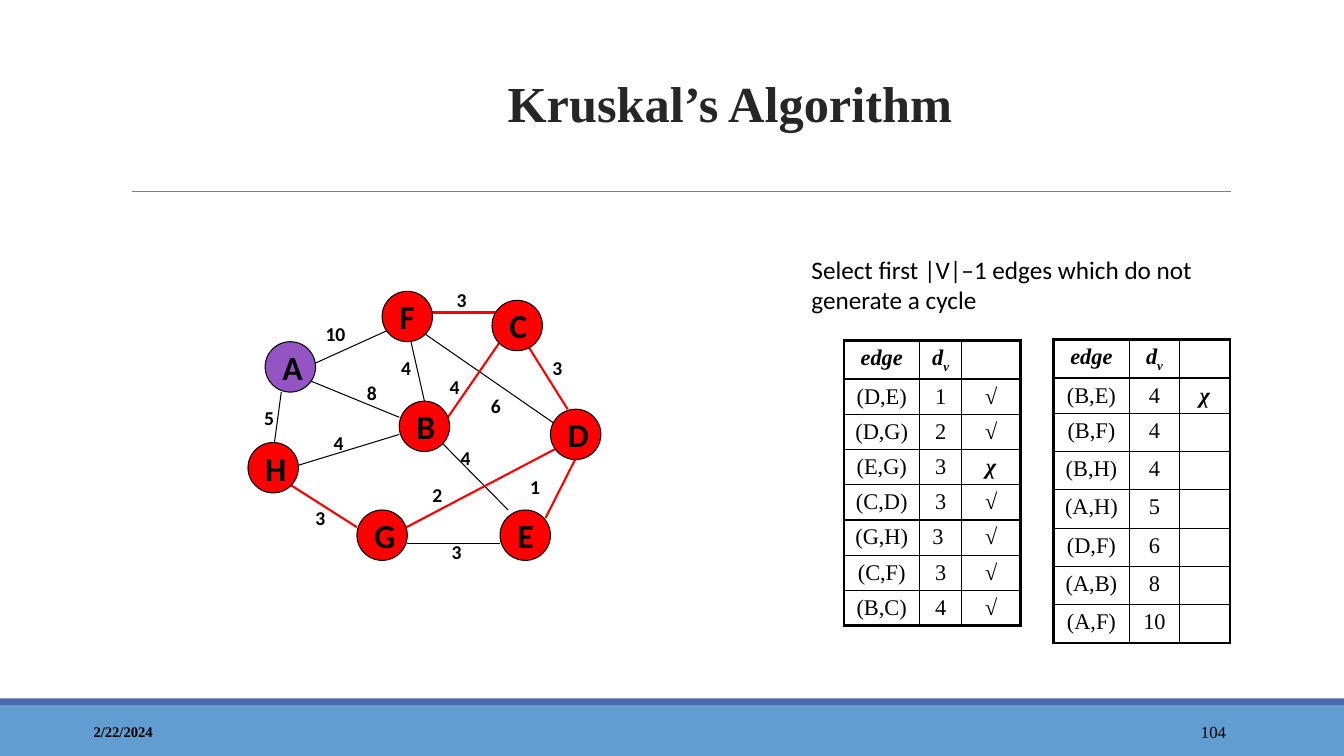
from lxml import etree
from pptx import Presentation
from pptx.dml.color import RGBColor
from pptx.enum.shapes import MSO_CONNECTOR, MSO_SHAPE
from pptx.enum.text import MSO_ANCHOR, PP_ALIGN
from pptx.oxml.ns import qn
from pptx.util import Cm, Pt

LEFT, CENTER, RIGHT = PP_ALIGN.LEFT, PP_ALIGN.CENTER, PP_ALIGN.RIGHT
TOP, MIDDLE, BOTTOM = MSO_ANCHOR.TOP, MSO_ANCHOR.MIDDLE, MSO_ANCHOR.BOTTOM
STRAIGHT = MSO_CONNECTOR.STRAIGHT
RECTANGLE, OVAL = MSO_SHAPE.RECTANGLE, MSO_SHAPE.OVAL
SERIF, SANS = "Times New Roman", "Calibri"
BLACK, RED, PURPLE = "000000", "FF0000", "9454C3"
TITLE_ONLY = 5
NODE_SIZE = 0.5

NODES = {
    "A": (2.63, 3.39), "H": (2.46, 4.39), "B": (3.96, 3.98), "F": (3.79, 2.89),
    "E": (4.96, 5.06), "D": (5.46, 4.06), "C": (4.88, 2.98), "G": (3.54, 5.06),
}

CHOSEN_EDGES = [
    ("1", (5.83, 4.31), (5.41, 5.14), (5.16, 4.66)),
    ("4", (4.38, 4.23), (4.96, 3.39), (4.36, 3.67)),
    ("2", (3.88, 5.31), (5.63, 4.39), (4.19, 4.74)),
    ("3", (4.26, 3.1), (4.93, 3.1), (4.43, 2.81)),
    ("3", (5.21, 3.39), (5.63, 4.06), (5.38, 3.48)),
    ("3", (3.54, 5.23), (2.88, 4.81), (3.03, 4.97)),
]

OTHER_EDGES = [
    ("4", (4.04, 3.23), (4.21, 3.98), (3.88, 3.48)),
    ("6", (5.54, 4.23), (4.21, 3.31), (4.77, 3.86)),
    ("4", (2.88, 4.64), (3.96, 4.31), (3.21, 4.23)),
    ("5", (2.71, 4.48), (2.79, 3.89), (2.52, 3.98)),
    ("8", (2.96, 3.73), (3.96, 4.14), (3.54, 3.73)),
    ("4", (4.38, 4.39), (5.04, 5.06), (4.47, 4.37)),
    ("3", (4.96, 5.39), (4.04, 5.39), (4.38, 5.31)),
    ("10", (3.09, 3.62), (3.84, 3.28), (3.13, 3.14)),
]

FIRST_EDGES = [
    ("(D,E)", "1", "√"), ("(D,G)", "2", "√"), ("(E,G)", "3", "χ"),
    ("(C,D)", "3", "√"), ("(G,H)", "3 ", "√"), ("(C,F)", "3", "√"),
    ("(B,C)", "4", "√"),
]

LAST_EDGES = [
    ("(B,E)", "4", "χ"), ("(B,F)", "4", ""), ("(B,H)", "4", ""),
    ("(A,H)", "5", ""), ("(D,F)", "6", ""), ("(A,B)", "8", ""),
    ("(A,F)", "10", ""),
]


def inches(value):
    return Cm(value * 2.54)


def color(value):
    return RGBColor.from_string(value)


class SlideBuilder:
    def __init__(self, slide):
        self.slide = slide
        self.shapes = slide.shapes

    def run(self, paragraph, text, size, font=SERIF, bold=False, italic=False,
            ink=BLACK, baseline=None):
        run = paragraph.add_run()
        run.text = text
        run.font.size = Pt(size)
        run.font.name = font
        run.font.bold = bold
        run.font.italic = italic
        run.font.color.rgb = color(ink)
        if baseline:
            run.font._element.set("baseline", str(baseline * 1000))

    def title(self, text, box):
        title = self.shapes.title
        title.left, title.top, title.width, title.height = map(inches, box)
        title.text_frame.vertical_anchor = BOTTOM
        paragraph = title.text_frame.paragraphs[0]
        paragraph.alignment = CENTER
        paragraph.line_spacing = 1.1
        self.run(paragraph, text, 36, bold=True, ink="262626")

    def label(self, text, box, size, font=SERIF, bold=False, align=LEFT, anchor=TOP):
        frame = self.shapes.add_textbox(*map(inches, box)).text_frame
        frame.word_wrap = True
        frame.vertical_anchor = anchor
        frame.paragraphs[0].alignment = align
        self.run(frame.paragraphs[0], text, size, font, bold)

    def shape(self, kind, box, fill):
        shape = self.shapes.add_shape(kind, *map(inches, box))
        shape.shadow.inherit = False
        shape.fill.solid()
        shape.fill.fore_color.rgb = color(fill)
        shape.line.fill.background()
        return shape

    def node(self, letter, corner, fill):
        circle = self.shape(OVAL, (*corner, NODE_SIZE, NODE_SIZE), fill)
        circle.line.color.rgb = color(BLACK)
        circle.line.width = Pt(0.75)
        frame = circle.text_frame
        frame.vertical_anchor = MIDDLE
        frame.paragraphs[0].alignment = LEFT
        self.run(frame.paragraphs[0], letter, 24, SANS, bold=True)

    def line(self, start, end, ink=BLACK, width=0.75):
        line = self.shapes.add_connector(STRAIGHT, *map(inches, (*start, *end)))
        line.line.color.rgb = color(ink)
        line.line.width = Pt(width)
        etree.SubElement(line._element.spPr, qn("a:effectLst"))

    def edge(self, weight, start, end, corner, ink, width):
        self.line(start, end, ink, width)
        self.label(weight, (*corner, 0.52, 0.33), 14, SANS, bold=True)

    def border(self, cell, side, width):
        line = etree.SubElement(cell._tc.get_or_add_tcPr(), qn(f"a:ln{side}"),
                                w=str(Pt(width)))
        fill = etree.SubElement(line, qn("a:solidFill"))
        etree.SubElement(fill, qn("a:srgbClr"), val=BLACK)

    def edge_table(self, corner, widths, heights, edges):
        rows = [("edge", "d", "")] + edges
        table = self.shapes.add_table(
            len(rows), len(widths),
            *map(inches, (*corner, sum(widths), sum(heights)))).table
        table.first_row = table.horz_banding = False
        for column, width in zip(table.columns, widths):
            column.width = inches(width)
        for row, height in zip(table.rows, heights):
            row.height = inches(height)
        for r, texts in enumerate(rows):
            for c, text in enumerate(texts):
                cell = table.cell(r, c)
                cell.margin_bottom = 0
                outer = {"L": c == 0, "R": c == len(widths) - 1,
                         "T": r == 0, "B": r == len(rows) - 1}
                for side, is_outer in outer.items():
                    self.border(cell, side, 2.25 if is_outer else 1)
                cell.fill.background()
                paragraph = cell.text_frame.paragraphs[0]
                paragraph.alignment = CENTER
                strong = r == 0 or c == 2
                if text:
                    self.run(paragraph, text, 16, bold=strong, italic=strong)
                if text == "d":
                    self.run(paragraph, "v", 16, bold=True, italic=True, baseline=-25)


def main():
    deck = Presentation()
    deck.slide_width, deck.slide_height = inches(13.33), inches(7.5)
    page = SlideBuilder(deck.slides.add_slide(deck.slide_layouts[TITLE_ONLY]))

    page.shape(RECTANGLE, (0, 7, 13.33, 0.5), "629DD1")
    page.shape(RECTANGLE, (0, 6.93, 13.33, 0.07), "4A66AC")
    page.line((1.31, 1.9), (12.21, 1.9), "7F7F7F")
    page.title("Kruskal’s Algorithm", (1.74, 0.31, 11, 1.06))
    page.label("2/22/2024", (0.83, 7.06, 3, 0.4), 10.5, bold=True, anchor=MIDDLE)
    page.label("104", (10.83, 7.06, 1.43, 0.4), 12, align=RIGHT, anchor=MIDDLE)
    page.label("Select first |V|–1 edges which do not generate a cycle",
               (7.95, 2.47, 4.42, 0.77), 18, SANS)

    page.edge_table((8.37, 3.38), (0.75, 0.42, 0.58), [0.38] + [0.35] * 7, FIRST_EDGES)
    page.edge_table((10.45, 3.37), (0.75, 0.5, 0.5), [0.38, 0.35] + [0.38] * 6, LAST_EDGES)

    for edge in OTHER_EDGES:
        page.edge(*edge, BLACK, 0.75)
    for edge in CHOSEN_EDGES:
        page.edge(*edge, RED, 1.5)
    for letter, corner in NODES.items():
        page.node(letter, corner, PURPLE if letter == "A" else RED)

    deck.save("out.pptx")


if __name__ == "__main__":
    main()
